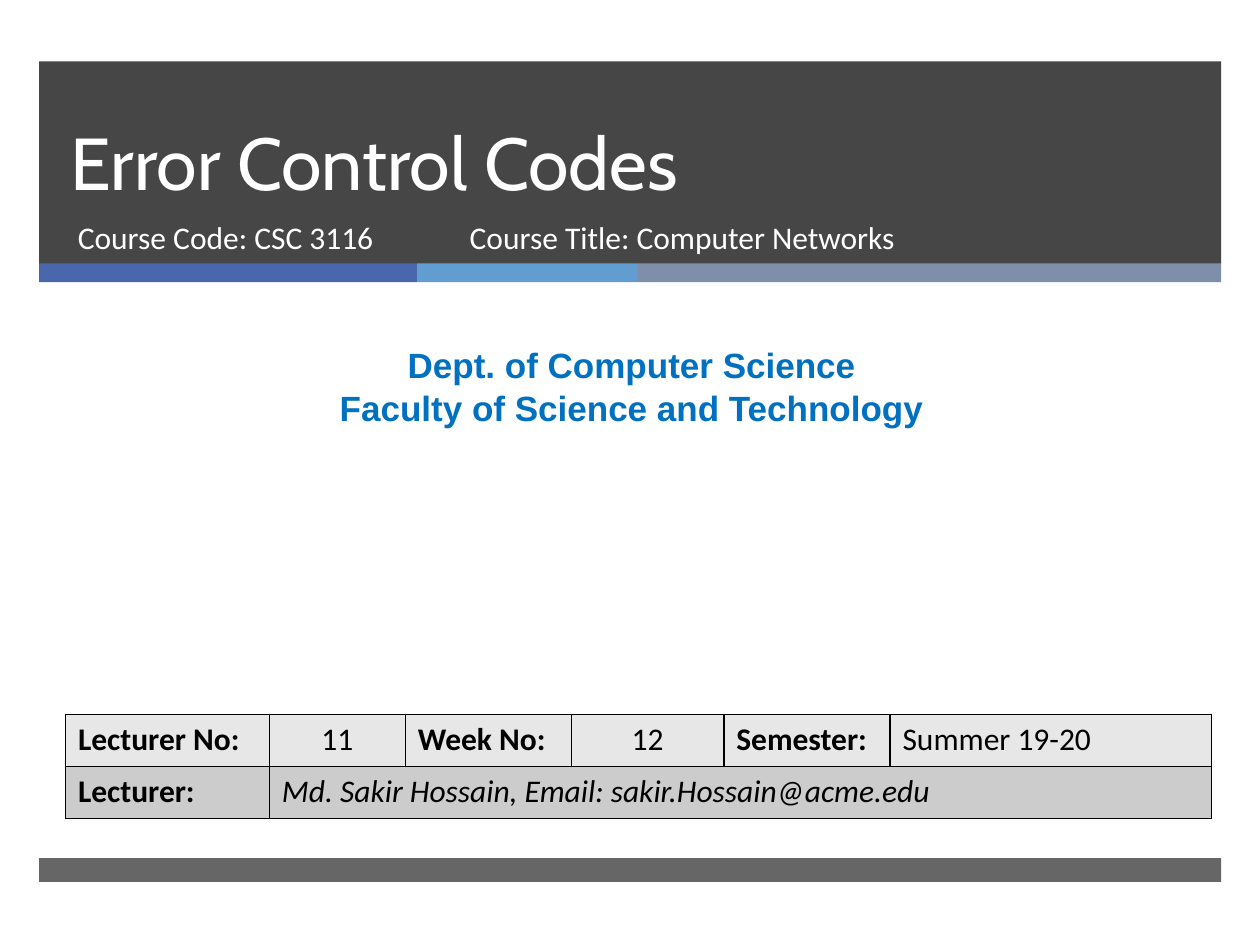
from lxml import etree
from pptx import Presentation
from pptx import util as u
from pptx.dml.color import RGBColor
from pptx.enum import shapes, text
from pptx.oxml.ns import qn

COLORS = {
    "dark": "262626", "blue": "4A66AC", "sky": "629DD1", "slate": "7F8FA9",
    "white": "FFFFFF", "dept": "0070C0", "black": "000000",
    "row1": "E7E7E7", "row2": "CCCCCC",
}
LEFT, WIDTH = 0.79, 23.83


def rgb(name):
    return RGBColor.from_string(COLORS[name])


def write(tf, lines, size, font, color, bold=False, italic=False, center=False):
    tf.word_wrap = True
    tf.text = lines
    for p in tf.paragraphs:
        p.alignment = text.PP_ALIGN.CENTER if center else text.PP_ALIGN.LEFT
        for r in p.runs:
            r.font.size, r.font.name = u.Pt(size), font
            r.font.bold, r.font.italic = bold, italic
            r.font.color.rgb = rgb(color)


prs = Presentation()
prs.slide_width, prs.slide_height = u.Cm(25.4), u.Cm(19.05)
s = prs.slides.add_slide(prs.slide_layouts[6])

# Header, three accent strips and footer: left, top, width, height, colour, opacity %
bars = [(LEFT, 1.24, WIDTH, 4.09, "dark", 85)]
x = LEFT
for width, color in ((7.62, "blue"), (4.45, "sky"), (11.76, "slate")):
    bars.append((x, 5.31, width, 0.38, color, 100))
    x += width
bars.append((LEFT, 17.3, WIDTH, 0.48, "dark", 70))

for left, top, width, height, color, opacity in bars:
    sp = s.shapes.add_shape(shapes.MSO_SHAPE.RECTANGLE,
                            u.Cm(left), u.Cm(top), u.Cm(width), u.Cm(height))
    sp.shadow.inherit = False
    sp.line.fill.background()
    sp.fill.solid()
    sp.fill.fore_color.rgb = rgb(color)
    if opacity < 100:
        clr = sp.fill._xPr.find(f".//{qn('a:srgbClr')}")
        etree.SubElement(clr, qn("a:alpha"), val=str(opacity * 1000))

# Title, course lines and department
title = s.shapes.add_textbox(u.Cm(1.17), u.Cm(1.24), u.Cm(21.69), u.Cm(3.02))
write(title.text_frame, "Error Control Codes", 42, "Cabin", "white")
title.text_frame.vertical_anchor = text.MSO_ANCHOR.BOTTOM
title.text_frame.paragraphs[0].line_spacing = u.Pt(46)

for left, width, line in ((1.32, 7.75, "Course Code: CSC 3116"),
                          (9.22, 11.56, "Course Title: Computer Networks")):
    course = s.shapes.add_textbox(u.Cm(left), u.Cm(4.27), u.Cm(width), u.Cm(1.35))
    write(course.text_frame, line, 18, "Calibri", "white")

dept = s.shapes.add_textbox(u.Cm(0.2), u.Cm(6.81), u.Cm(25.07), u.Cm(1.96))
write(dept.text_frame, "Dept. of Computer Science\nFaculty of Science and Technology",
      20, "Arial", "dept", bold=True, center=True)

# Lecture details
rows = [
    ["Lecturer No:", "11", "Week No:", "12", "Semester:", "Summer 19-20"],
    ["Lecturer:", "Md. Sakir Hossain, Email: sakir.Hossain@acme.edu", "", "", "", ""],
]
col_widths = [4.11, 2.74, 3.35, 3.07, 3.35, 6.48]
row_height = 1.05
table = s.shapes.add_table(len(rows), len(col_widths), u.Cm(1.32), u.Cm(14.4),
                           u.Cm(sum(col_widths)), u.Cm(row_height * len(rows))).table
for col, width in zip(table.columns, col_widths):
    col.width = u.Cm(width)
table.cell(1, 1).merge(table.cell(1, 5))

for i, row in enumerate(rows):
    table.rows[i].height = u.Cm(row_height)
    for j, value in enumerate(row):
        cell = table.cell(i, j)
        write(cell.text_frame, value, 18, "Calibri", "black", bold=value.endswith(":"),
              italic=(i == 1 and j == 1), center=value.isdigit())
        tc_pr = cell._tc.get_or_add_tcPr()
        for side in ("a:lnL", "a:lnR", "a:lnT", "a:lnB"):
            ln = etree.SubElement(tc_pr, qn(side), w=str(u.Pt(1)))
            fill = etree.SubElement(ln, qn("a:solidFill"))
            etree.SubElement(fill, qn("a:srgbClr"), val=COLORS["black"])
        cell.fill.solid()
        cell.fill.fore_color.rgb = rgb(f"row{i + 1}")

prs.save("out.pptx")
